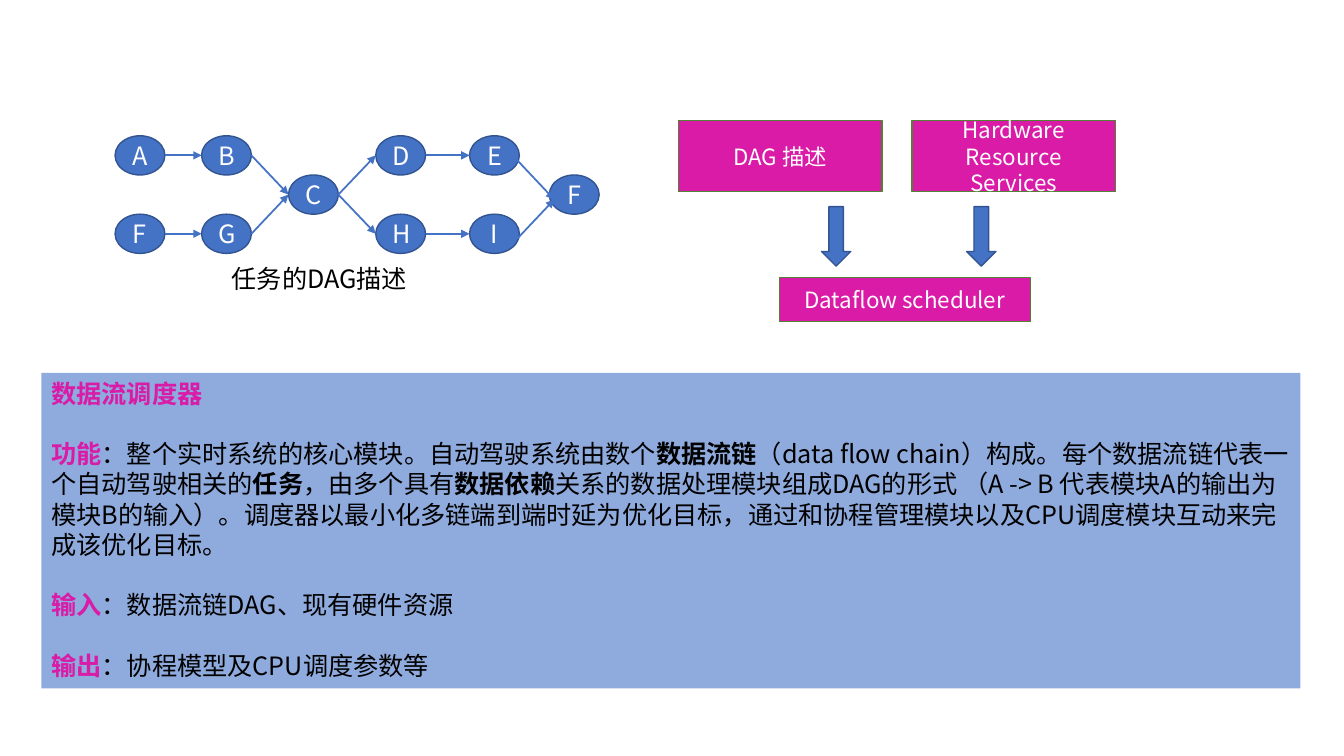
import pptx
import pptx.util
import pptx.dml.color
import pptx.enum.shapes
import pptx.enum.text
import pptx.oxml
import pptx.oxml.ns

Pt = pptx.util.Pt
Shape = pptx.enum.shapes.MSO_SHAPE
Align = pptx.enum.text.PP_ALIGN
Anchor = pptx.enum.text.MSO_ANCHOR

FONT = "Noto Sans CJK SC"
MAGENTA, GREEN = "D91BA7", "538035"
BLUE, NAVY, PALE = "4472C4", "325491", "8FAADC"
WHITE, BLACK = "FFFFFF", "000000"

PANEL_BOX = (29.5, 266.4, 899.3, 225.4)
PANEL = [
    [("数据流调度器", "label")],
    [("功能", "label"), ("：整个实时系统的核心模块。自动驾驶系统由数个", "plain"),
     ("数据流链", "bold"),
     ("（data flow chain）构成。每个数据流链代表一个自动驾驶相关的", "plain"),
     ("任务", "bold"), ("，由多个具有", "plain"), ("数据依赖", "bold"),
     ("关系的数据处理模块组成DAG的形式 （A -> B 代表模块A的输出为模块B的输入）。"
      "调度器以最小化多链端到端时延为优化目标，通过和协程管理模块以及CPU调度模块互动来完成该优化目标。", "plain")],
    [("输入", "label"), ("：数据流链DAG、现有硬件资源", "plain")],
    [("输出", "label"), ("：协程模型及CPU调度参数等", "plain")],
]
STYLES = {"label": (MAGENTA, True), "plain": (BLACK, False), "bold": (BLACK, True)}

BLOCKS = [
    ("Dataflow scheduler", (556.6, 198, 179.3, 31.5)),
    ("Hardware Resource Services", (651.4, 86, 145.4, 51)),
    ("DAG 描述", (484.6, 86, 145.4, 51)),
]
ARROW_LEFTS = [586.8, 690.5]
ARROW_TOP, ARROW_WIDTH, ARROW_HEIGHT = 147.6, 20.9, 42.5

CAPTION = ("任务的DAG描述", (158.4, 184.3, 144.7, 28.8))
NODE_WIDTH, NODE_HEIGHT = 35.6, 28
COLUMNS = [82.2, 144, 206.1, 268.4, 335.4, 392.4]
ROWS = [97, 125, 153]
NODES = {
    "A": ("A", 0, 0), "B": ("B", 1, 0), "C": ("C", 2, 1),
    "F": ("F", 0, 2), "G": ("G", 1, 2), "D": ("D", 3, 0),
    "E": ("E", 4, 0), "H": ("H", 3, 2), "I": ("I", 4, 2),
    "end": ("F", 5, 1),
}
EDGES = ["A B", "B C", "G C", "F G", "H I", "D E", "C D", "C H", "E end", "I end"]
END_SHIFT = (-1.5, 3.5, 3.5)


def color(value):
    return pptx.dml.color.RGBColor.from_string(value)


def place(box):
    return [Pt(length) for length in box]


def set_font(para, size, value=None):
    para.font.name = FONT
    para.font.size = Pt(size)
    if value:
        para.font.color.rgb = color(value)
    east = pptx.oxml.parse_xml(
        f'<a:ea {pptx.oxml.ns.nsdecls("a")} typeface="{FONT}"/>')
    para.font._element.find(pptx.oxml.ns.qn("a:latin")).addnext(east)


def add_shape(kind, box, fill, line=None, text=None, size=18):
    shape = page.shapes.add_shape(kind, *place(box))
    shape.shadow.inherit = False
    shape.fill.solid()
    shape.fill.fore_color.rgb = color(fill)
    if line:
        shape.line.color.rgb = color(line)
        shape.line.width = Pt(1)
    else:
        shape.line.fill.background()
    if text:
        frame = shape.text_frame
        frame.word_wrap = True
        frame.vertical_anchor = Anchor.MIDDLE
        para = frame.paragraphs[0]
        para.text = text
        para.alignment = Align.CENTER
        set_font(para, size, WHITE)
    return shape


def add_edge(start, finish):
    _, column, row = NODES[start]
    _, next_column, next_row = NODES[finish]
    begin_shift, end_shift, drop = END_SHIFT if finish == "end" else (0, 0, 0)
    middle = NODE_HEIGHT / 2 + drop
    edge = page.shapes.add_connector(
        pptx.enum.shapes.MSO_CONNECTOR.STRAIGHT,
        *place((COLUMNS[column] + NODE_WIDTH + begin_shift, ROWS[row] + middle,
                COLUMNS[next_column] + end_shift, ROWS[next_row] + middle)))
    edge.line.color.rgb = color(BLUE)
    edge.line.width = Pt(1.25)
    namespace = pptx.oxml.ns.nsdecls("a")
    edge.line._get_or_add_ln().append(
        pptx.oxml.parse_xml(f'<a:tailEnd {namespace} type="triangle"/>'))
    edge._element.spPr.append(pptx.oxml.parse_xml(f"<a:effectLst {namespace}/>"))


deck = pptx.Presentation()
deck.slide_width, deck.slide_height = Pt(960), Pt(540)
page = deck.slides.add_slide(deck.slide_layouts[6])

panel = add_shape(Shape.RECTANGLE, PANEL_BOX, PALE).text_frame
panel.word_wrap = True
panel.vertical_anchor = Anchor.TOP
for index, spans in enumerate(PANEL):
    para = panel.add_paragraph() if index else panel.paragraphs[0]
    para.alignment = Align.LEFT
    para.space_before = Pt(21.6 if index else 0)
    set_font(para, 18)
    for text, style in spans:
        span = para.add_run()
        span.text = text
        value, span.font.bold = STYLES[style]
        span.font.color.rgb = color(value)

for text, box in BLOCKS:
    add_shape(Shape.RECTANGLE, box, MAGENTA, GREEN, text, 16)
for left in ARROW_LEFTS:
    add_shape(Shape.DOWN_ARROW, (left, ARROW_TOP, ARROW_WIDTH, ARROW_HEIGHT), BLUE, NAVY)

for text, column, row in NODES.values():
    add_shape(Shape.OVAL, (COLUMNS[column], ROWS[row], NODE_WIDTH, NODE_HEIGHT),
              BLUE, NAVY, text)
for edge in EDGES:
    add_edge(*edge.split())

text, box = CAPTION
caption = page.shapes.add_textbox(*place(box)).text_frame
caption.word_wrap = True
caption.paragraphs[0].text = text
set_font(caption.paragraphs[0], 18, BLACK)

deck.save("out.pptx")
